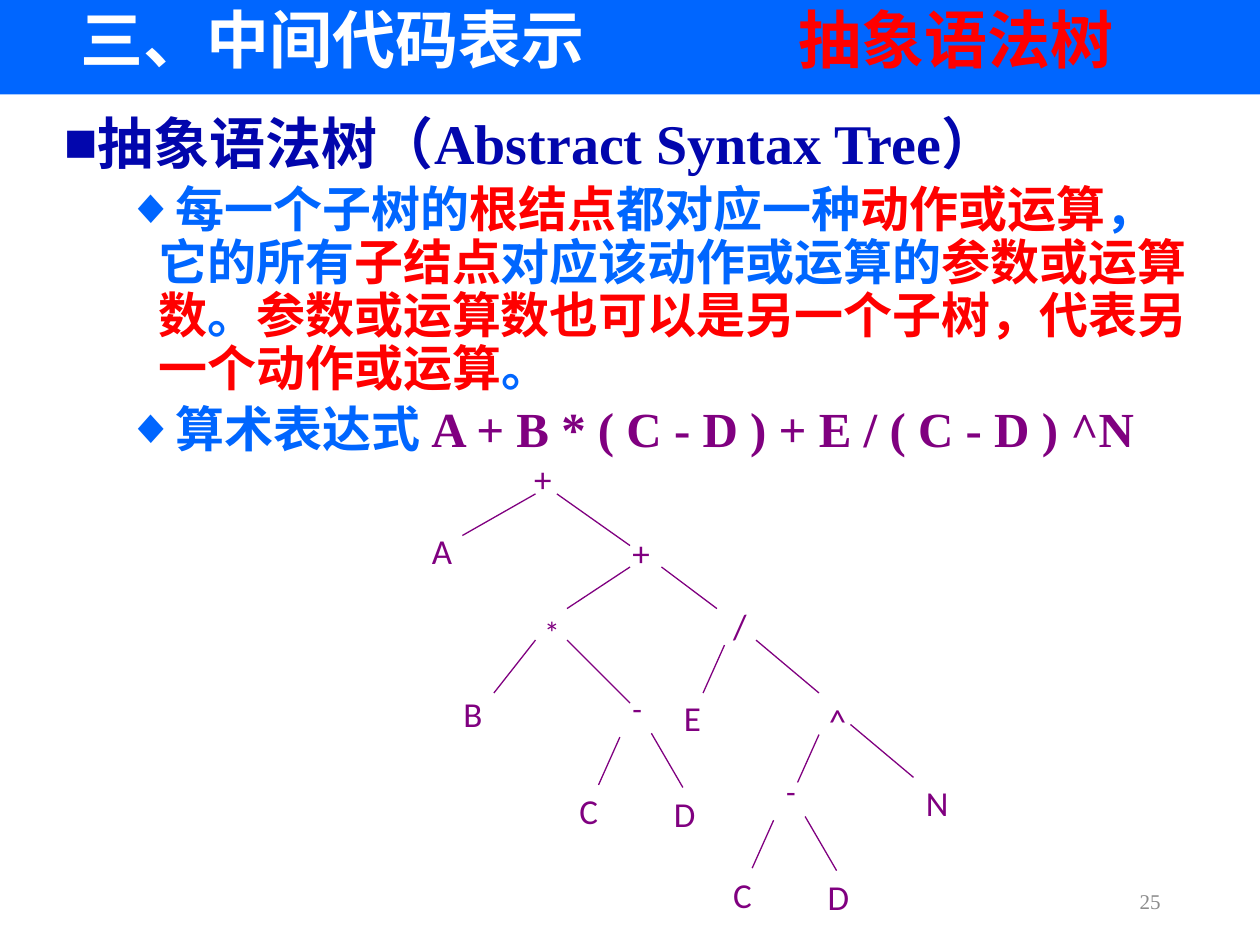
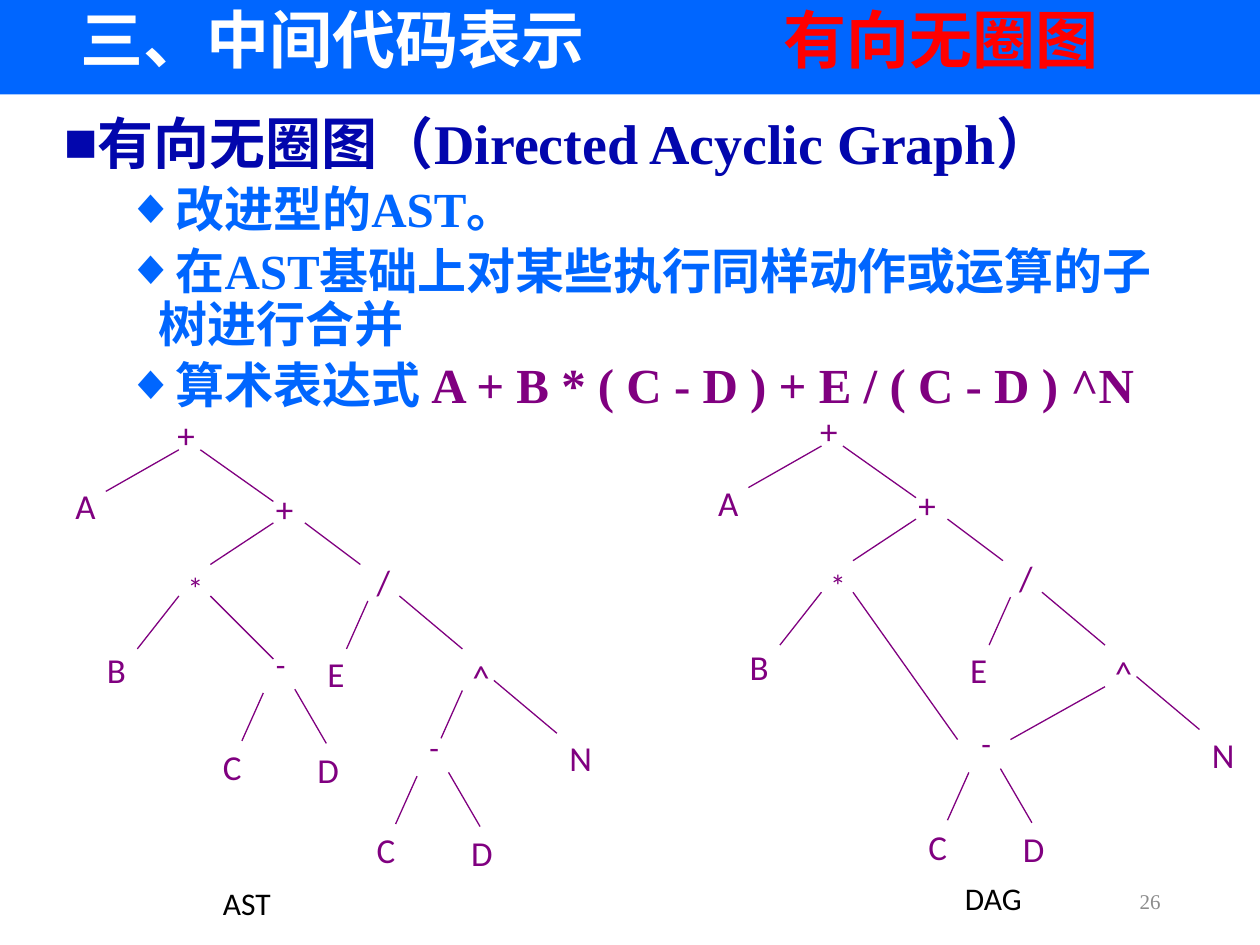
from lxml.etree import SubElement
from pptx import Presentation
from pptx.dml.color import RGBColor
from pptx.enum.lang import MSO_LANGUAGE_ID
from pptx.enum.shapes import MSO_CONNECTOR, MSO_SHAPE
from pptx.enum.text import MSO_ANCHOR, MSO_AUTO_SIZE, PP_ALIGN
from pptx.oxml.ns import qn
from pptx.util import Pt

PX = 9144
COLORS = {
    "band": "0066FF", "white": "FFFFFF", "navy": "0206AD", "blue": "0066FF",
    "red": "FF0000", "purple": "800080", "black": "000000", "gray": "8C8C8C",
}
SERIF, SANS = "Times New Roman", "Calibri"
TITLE = {"name": SERIF, "size": Pt(36), "bold": True}
HEADING = {"name": SERIF, "size": Pt(32), "bold": True}
POINT = {"name": SERIF, "size": Pt(28), "bold": True}
NODE = {"name": SANS, "size": Pt(20)}
SMALL_NODE = {"name": SANS, "size": Pt(18)}
NUMBER = {"name": SERIF, "size": Pt(12)}

CHAPTER = "三、中间代码表示"
EXPRESSION = [("算术表达式 ", "blue"), ("A + B * ( C - D ) + E / ( C - D ) ^N", "purple")]

TREE_NODES = [
    ("+", 81, 0), ("A", 0, 57), ("+", 159, 59), ("*", 89, 124), ("/", 239, 117),
    ("B", 25, 187), ("E", 200, 190), ("^", 315, 192), ("N", 392, 257),
]
TREE_EDGES = [
    (92, 34, 34, 67), (109, 34, 167, 75), (167, 92, 117, 125), (192, 92, 236, 125),
    (92, 150, 59, 192), (242, 154, 225, 192), (267, 150, 317, 192), (342, 217, 392, 259),
]
MINUS_NODES = [("-", 0, 0), ("C", -42, 80), ("D", 33, 82)]
MINUS_EDGES = [(25, 40, 50, 83), (0, 43, -17, 81)]
AST = {
    "minuses": [(159, 184), (281, 250)],
    "edges": [(117, 150, 167, 200), (317, 225, 300, 263)],
}
DAG = {
    "minuses": [(209, 250)],
    "edges": [(117, 150, 200, 267), (317, 225, 242, 267)],
}


def apply(target, values):
    for name, value in values.items():
        setattr(target, name, value)


def scaled(*lengths):
    return [length * PX for length in lengths]


def color(name):
    return RGBColor.from_string(COLORS[name])


def add_spans(para, spans, style):
    for text, color_name in spans:
        span = para.add_run()
        span.text = text
        apply(span.font, {**style, "language_id": MSO_LANGUAGE_ID.SIMPLIFIED_CHINESE})
        span.font.color.rgb = color(color_name)


def add_label(page, box, text, style, color_name, align=PP_ALIGN.LEFT, wrap=True,
              anchor=MSO_ANCHOR.TOP):
    label = page.shapes.add_textbox(*scaled(*box))
    apply(label.text_frame, {"word_wrap": wrap, "vertical_anchor": anchor})
    para = label.text_frame.paragraphs[0]
    para.alignment = align
    add_spans(para, [(text, color_name)], style)


def add_edge(page, left, top, ends):
    x1, y1, x2, y2 = ends
    points = scaled(left + x1, top + y1, left + x2, top + y2)
    edge = page.shapes.add_connector(MSO_CONNECTOR.STRAIGHT, *points)
    edge.line.color.rgb = color("purple")
    edge.line.width = Pt(0.75)
    SubElement(edge.element.spPr, qn("a:effectLst"))


def add_branches(page, left, top, nodes, edges):
    for text, x, y in nodes:
        style = SMALL_NODE if text in "*-" else NODE
        add_label(page, (left + x, top + y, 42, 43), text, style, "purple")
    for ends in edges:
        add_edge(page, left, top, ends)


def add_tree(page, left, top, graph):
    add_branches(page, left, top, TREE_NODES, TREE_EDGES + graph["edges"])
    for x, y in graph["minuses"]:
        add_branches(page, left + x, top + y, MINUS_NODES, MINUS_EDGES)


def add_title(page, box, topic, tab):
    title = page.shapes.title
    apply(title, dict(zip(("left", "top", "width", "height"), scaled(*box))))
    apply(title.text_frame, {
        "word_wrap": True, "auto_size": MSO_AUTO_SIZE.NONE,
        "vertical_anchor": MSO_ANCHOR.MIDDLE,
    })
    para = title.text_frame.paragraphs[0]
    apply(para, {"alignment": PP_ALIGN.LEFT, "line_spacing": 0.9})
    tabs = SubElement(para._p.get_or_add_pPr(), qn("a:tabLst"))
    SubElement(tabs, qn("a:tab"), pos=str(tab * PX), algn="l")
    add_spans(para, [(CHAPTER + "\t", "white"), (topic, "red")], TITLE)


def add_band(page, box):
    band = page.shapes.add_shape(MSO_SHAPE.RECTANGLE, *scaled(*box))
    band.shadow.inherit = False
    band.fill.solid()
    band.fill.fore_color.rgb = color("band")
    band.line.fill.background()
    page.shapes.title.element.addprevious(band.element)


def add_bullet(para, symbol, margin):
    properties = para._p.get_or_add_pPr()
    properties.set("marL", str(margin * PX))
    properties.set("indent", str(-25 * PX))
    SubElement(properties, qn("a:buFont"), typeface=SERIF)
    SubElement(properties, qn("a:buChar"), char=symbol)


def add_body(page, box, heading, points):
    frame = page.shapes.add_textbox(*scaled(*box)).text_frame
    frame.word_wrap = True
    para = frame.paragraphs[0]
    add_bullet(para, "■", 25)
    para.line_spacing = 0.9
    add_spans(para, [(heading, "navy")], HEADING)
    for spans in points:
        para = frame.add_paragraph()
        add_bullet(para, "◆", 75)
        apply(para, {"level": 1, "line_spacing": 0.9, "space_before": Pt(5)})
        add_spans(para, spans, POINT)


def add_page(deck, topic, tab, english, points, number):
    page = deck.slides.add_slide(deck.slide_layouts[5])
    add_band(page, (0, -7, 1000, 82))
    add_title(page, (54, 8, 862, 52), topic, tab)
    add_body(page, (41, 87, 914, 608), f"{topic}（{english}）", points + [EXPRESSION])
    add_label(page, (706, 695, 225, 40), number, NUMBER, "gray", PP_ALIGN.RIGHT,
              anchor=MSO_ANCHOR.MIDDLE)
    return page


def add_syntax_tree_page(deck):
    meaning = [
        ("每一个子树的", "blue"), ("根结点", "red"), ("都对应一种", "blue"),
        ("动作或运算", "red"), ("，它的所有", "blue"), ("子结点", "red"),
        ("对应该动作或运算的", "blue"), ("参数或运算数", "red"), ("。", "blue"),
        ("参数或运算数也可以是另一个子树，代表另一个动作或运算", "red"), ("。", "blue"),
    ]
    page = add_page(deck, "抽象语法树", 570, "Abstract Syntax Tree", [meaning], "25")
    add_tree(page, 333, 358, AST)


def add_acyclic_graph_page(deck):
    points = [
        [("改进型的AST。", "blue")],
        [("在AST基础上对某些执行同样动作或运算的子树进行合并", "blue")],
    ]
    page = add_page(deck, "有向无圈图", 558, "Directed Acyclic Graph", points, "26")
    add_tree(page, 50, 323, AST)
    add_tree(page, 560, 320, DAG)
    add_label(page, (167, 697, 58, 40), "AST", SMALL_NODE, "black", wrap=False)
    add_label(page, (756, 693, 66, 40), "DAG", SMALL_NODE, "black", wrap=False)


def main():
    deck = Presentation()
    apply(deck, {"slide_width": 1000 * PX, "slide_height": 750 * PX})
    add_syntax_tree_page(deck)
    add_acyclic_graph_page(deck)
    deck.save("out.pptx")


if __name__ == "__main__":
    main()
